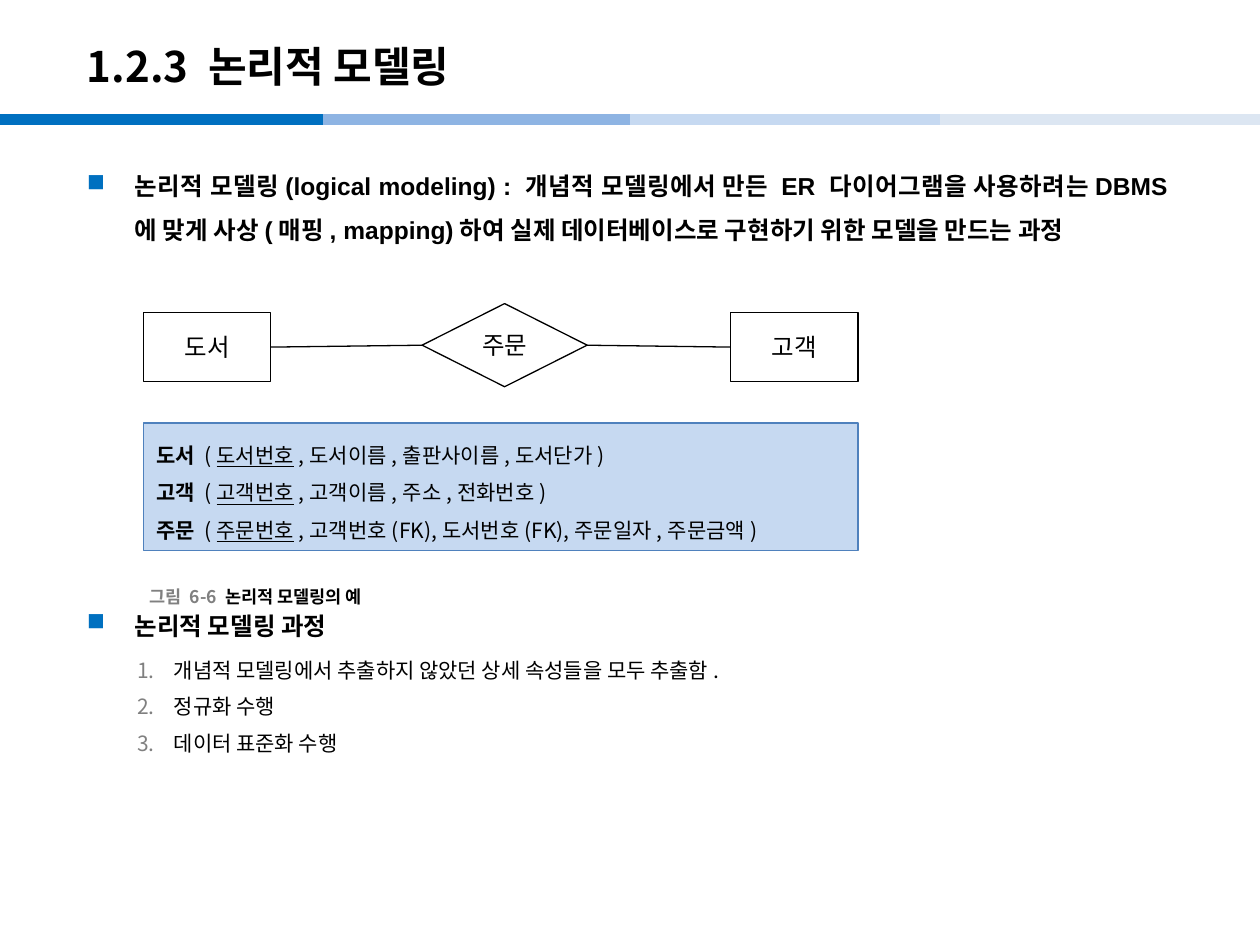
from lxml import etree
from pptx import Presentation
from pptx.dml.color import RGBColor
from pptx.enum.shapes import MSO_CONNECTOR, MSO_SHAPE
from pptx.enum.text import MSO_ANCHOR, PP_ALIGN
from pptx.oxml.ns import qn
from pptx.util import Inches, Pt

KOREAN, LATIN = "Noto Sans CJK KR", "Arial"
STRAIGHT = MSO_CONNECTOR.STRAIGHT
RECTANGLE, DIAMOND = MSO_SHAPE.RECTANGLE, MSO_SHAPE.DIAMOND
TOP, MIDDLE = MSO_ANCHOR.TOP, MSO_ANCHOR.MIDDLE
LEFT, CENTER, JUSTIFY = PP_ALIGN.LEFT, PP_ALIGN.CENTER, PP_ALIGN.JUSTIFY
SIDE_LEFT, SIDE_RIGHT = 1, 3
STRIPS = [(0, "0070C0"), (2.56, "8EB4E3"), (5, "C6D9F1"), (7.46, "DCE6F2")]
DEFINITION = (
    "논리적 모델링(logical modeling) : 개념적 모델링에서 만든 ER 다이어그램을 사용하려는"
    "DBMS에 맞게 사상(매핑, mapping)하여 실제 데이터베이스로 구현하기 위한 모델을 만드는 과정"
)
STEPS = [
    "개념적 모델링에서 추출하지 않았던 상세 속성들을 모두 추출함.",
    "정규화 수행",
    "데이터 표준화 수행",
]
RELATIONS = [
    ("도서", "도서번호", "도서이름,출판사이름,도서단가"),
    ("고객", "고객번호", "고객이름,주소,전화번호"),
    ("주문", "주문번호", "고객번호(FK),도서번호(FK),주문일자,주문금액"),
]


def color(value):
    """Turn a hex string into a colour."""
    return RGBColor.from_string(value)


def style(para, size, bold=False, latin=KOREAN, align=LEFT):
    """Set the font and alignment of a paragraph."""
    para.alignment = align
    font = para.font
    font.name, font.size, font.bold = latin, Pt(size), bold
    font.color.rgb = color("000000")
    latin_tag = para._p.pPr.find(qn("a:defRPr")).find(qn("a:latin"))
    east_asian = etree.Element(qn("a:ea"), typeface=KOREAN)
    latin_tag.addnext(east_asian)


def add_bullet(para, margin, hanging, bullet_color, tag, **attributes):
    """Give a paragraph a hanging coloured bullet or number."""
    properties = para._p.get_or_add_pPr()
    properties.set("marL", str(Inches(margin)))
    properties.set("indent", str(-Inches(hanging)))
    holder = etree.SubElement(properties, qn("a:buClr"))
    etree.SubElement(holder, qn("a:srgbClr"), val=bullet_color)
    etree.SubElement(properties, qn(tag), **attributes)


def add_text_box(slide, left, top, width, height, wrap=True):
    """Add an empty text box and return its frame."""
    frame = slide.shapes.add_textbox(*map(Inches, (left, top, width, height))).text_frame
    frame.word_wrap = wrap
    return frame


def write_heading(para, text):
    """Write a bold paragraph with a square bullet."""
    para.text = text
    para.line_spacing = 1.5
    add_bullet(para, 0.38, 0.38, "0070C0", "a:buChar", char="■")
    style(para, 14, True, LATIN, JUSTIFY)


def write_step(para, text, space_before):
    """Write one numbered step."""
    para.text, para.level = text, 1
    para.space_before, para.space_after = Pt(space_before), Pt(4)
    add_bullet(para, 0.69, 0.29, "808080", "a:buAutoNum", type="arabicPeriod")
    style(para, 12, align=JUSTIFY)


def add_box(slide, kind, place, fill, line, line_width, anchor=MIDDLE):
    """Add a filled and outlined shape."""
    box = slide.shapes.add_shape(kind, *map(Inches, place))
    box.shadow.inherit = False
    box.fill.solid()
    box.fill.fore_color.rgb = color(fill)
    box.line.color.rgb = color(line)
    box.line.width = Pt(line_width)
    box.text_frame.vertical_anchor = anchor
    return box


def add_node(slide, kind, place, label):
    """Add a labelled node of the entity diagram."""
    node = add_box(slide, kind, place, "FFFFFF", "000000", 0.75)
    para = node.text_frame.paragraphs[0]
    para.text = label
    style(para, 14, align=CENTER)
    return node


def add_line(slide, start, end, line_color, width):
    """Add a straight line without a shadow."""
    line = slide.shapes.add_connector(STRAIGHT, *map(Inches, start + end))
    line.line.color.rgb = color(line_color)
    line.line.width = Pt(width)
    etree.SubElement(line._element.spPr, qn("a:effectLst"))
    return line


def join(slide, first, second):
    """Join the right side of one node to the left side of the next."""
    line = add_line(slide, (0, 0), (1, 1), "000000", 0.75)
    line.begin_connect(first, SIDE_RIGHT)
    line.end_connect(second, SIDE_LEFT)


def add_title(slide, text):
    """Place and format the title."""
    title = slide.shapes.title
    title.left, title.top, title.width, title.height = map(Inches, (0.59, 0.22, 8.27, 0.6))
    title.text_frame.vertical_anchor = MIDDLE
    para = title.text_frame.paragraphs[0]
    para.text = text
    style(para, 24, True)


def add_diagram(slide):
    """Draw the two entities and their relationship."""
    nodes = [
        add_node(slide, RECTANGLE, (1.14, 2.48, 1.01, 0.55), "도서"),
        add_node(slide, DIAMOND, (3.35, 2.41, 1.31, 0.66), "주문"),
        add_node(slide, RECTANGLE, (5.8, 2.48, 1.01, 0.55), "고객"),
    ]
    for first, second in zip(nodes, nodes[1:]):
        join(slide, first, second)


def add_relations(slide):
    """List the relations with their keys underlined."""
    frame = add_box(slide, RECTANGLE, (1.14, 3.36, 5.67, 1.01), "C6D9F1", "4F81BD", 1, TOP).text_frame
    for index, (name, key, columns) in enumerate(RELATIONS):
        para = frame.add_paragraph() if index else frame.paragraphs[0]
        para.line_spacing = 1.5
        style(para, 12)
        spans = [para.add_run() for _ in range(4)]
        for span, text in zip(spans, (f"{name} ", "(", key, f",{columns})")):
            span.text = text
        spans[0].font.bold = True
        spans[2].font.underline = True


def add_caption(slide):
    """Add the figure caption."""
    frame = add_text_box(slide, 1.09, 4.5, 2.26, 0.47, wrap=False)
    frame.vertical_anchor = MIDDLE
    para = frame.paragraphs[0]
    style(para, 10, True)
    number, name = para.add_run(), para.add_run()
    number.text, name.text = "그림 6-6 ", "논리적 모델링의 예"
    number.font.color.rgb = color("808080")


def add_process(slide):
    """Add the heading and the numbered steps."""
    frame = add_text_box(slide, 0.59, 4.68, 8.82, 1.5)
    write_heading(frame.paragraphs[0], "논리적 모델링 과정")
    for index, step in enumerate(STEPS):
        write_step(frame.add_paragraph(), step, 2.4 if index else 10)


def main():
    """Build the slide and save it."""
    deck = Presentation()
    deck.slide_width, deck.slide_height = Inches(10), Inches(7.5)
    slide = deck.slides.add_slide(deck.slide_layouts[5])
    for left, strip_color in STRIPS:
        add_line(slide, (left, 0.95), (min(left + 2.56, 10), 0.95), strip_color, 6)
    add_title(slide, "1.2.3 논리적 모델링")
    definition = add_text_box(slide, 0.59, 1.19, 8.82, 0.85)
    write_heading(definition.paragraphs[0], DEFINITION)
    add_relations(slide)
    add_diagram(slide)
    add_caption(slide)
    add_process(slide)
    deck.save("out.pptx")


if __name__ == "__main__":
    main()
